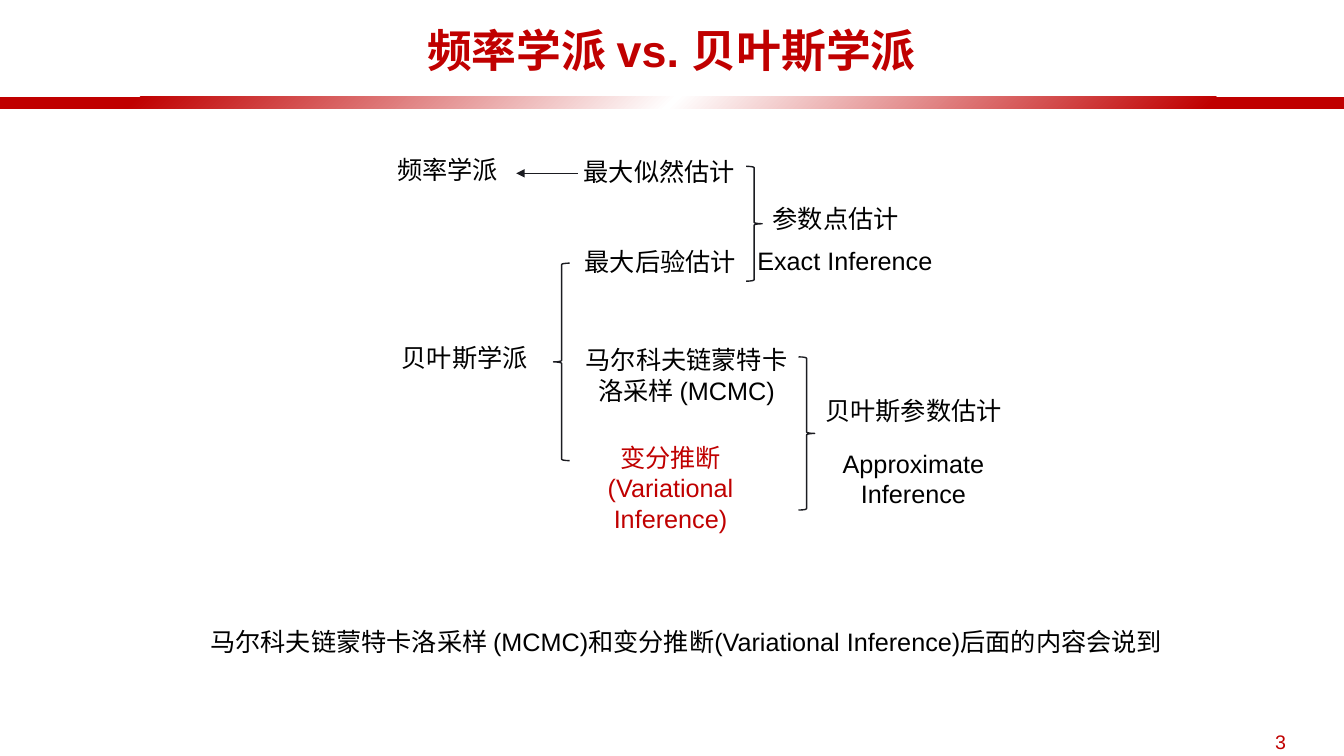
from copy import deepcopy

from lxml import etree
from pptx import Presentation
from pptx import util as u
from pptx.dml.color import RGBColor
from pptx.enum import shapes, text
from pptx.oxml.ns import qn

RED = RGBColor(0xC0, 0x00, 0x00)
WHITE = RGBColor(0xFF, 0xFF, 0xFF)
BLACK = RGBColor(0x00, 0x00, 0x00)
INK = RGBColor(0x1B, 0x1C, 0x21)


class Diagram:
    font = "Arial"
    size = 18
    label_width = 1.96

    def __init__(self, s):
        self.s = s

    def label(self, words, x, y, w=label_width, h=0.4, color=BLACK, size=size,
              bold=False, anchor=text.MSO_ANCHOR.TOP, wrap=True):
        sp = self.s.shapes.add_textbox(*map(u.Inches, (x, y, w, h)))
        tf = sp.text_frame
        tf.word_wrap = wrap
        tf.vertical_anchor = anchor
        tf.text = words
        for p in tf.paragraphs:
            p.alignment = text.PP_ALIGN.CENTER
            p.font.name = self.font
            p.font.size = u.Pt(size)
            p.font.bold = bold
            p.font.color.rgb = color

    def brace(self, x, y, h, rotation=0):
        sp = self.s.shapes.add_shape(shapes.MSO_SHAPE.RIGHT_BRACE,
                                     *map(u.Inches, (x, y, 0.16, h)))
        sp.shadow.inherit = False
        sp.rotation = rotation
        sp.fill.background()
        sp.line.color.rgb = INK
        sp.line.width = u.Pt(1)

    def arrow(self, x1, y1, x2, y2):
        line = self.s.shapes.add_connector(shapes.MSO_CONNECTOR.STRAIGHT,
                                           *map(u.Inches, (x1, y1, x2, y2)))
        line.line.color.rgb = INK
        line.line.width = u.Pt(0.5)
        etree.SubElement(line.line._get_or_add_ln(), qn("a:tailEnd"), type="triangle")
        etree.SubElement(line._element.spPr, qn("a:effectLst"))

    def gradient_bar(self, x, y, w, h, stops):
        """Draw a bar whose gradient has any number of (position, colour) stops."""
        sp = self.s.shapes.add_shape(shapes.MSO_SHAPE.RECTANGLE,
                                     *map(u.Inches, (x, y, w, h)))
        sp.shadow.inherit = False
        sp.line.fill.background()
        sp.fill.gradient()
        sp.fill.gradient_angle = 315
        gs_list = sp._element.spPr.find(".//" + qn("a:gsLst"))
        while len(gs_list) < len(stops):
            gs_list.append(deepcopy(gs_list[0]))
        for stop, (position, color) in zip(sp.fill.gradient_stops, stops):
            stop.position = position
            stop.color.rgb = color


def main():
    prs = Presentation()
    prs.slide_width, prs.slide_height = u.Inches(13.33), u.Inches(7.5)
    d = Diagram(prs.slides.add_slide(prs.slide_layouts[6]))
    middle = text.MSO_ANCHOR.MIDDLE

    d.gradient_bar(0, 0.96, 13.33, 0.12, [(0.1, RED), (0.5, WHITE), (0.9, RED)])
    d.label("频率学派 vs. 贝叶斯学派", 1.77, 0.13, 9.78, 0.72, RED, 32, True, middle)
    d.label("3", 12.48, 7.19, 0.44, 0.34, RED, 14, anchor=middle, wrap=False)

    # Schools
    d.label("频率学派", 3.46, 1.48)
    d.label("贝叶斯学派", 3.63, 3.35)
    d.arrow(5.73, 1.72, 5.12, 1.72)
    d.brace(5.49, 2.61, 1.96, rotation=180)

    # Methods
    d.label("最大似然估计", 5.56, 1.5)
    d.label("最大后验估计", 5.57, 2.39)
    d.label("马尔科夫链蒙特卡洛采样 (MCMC)", 5.63, 3.37, 2.36, 0.71)
    d.label("变分推断\n(Variational Inference)", 5.64, 4.34, 2.02, 1.01, RED)

    # Kinds of inference
    d.brace(7.4, 1.65, 1.14)
    d.label("参数点估计", 7.31, 1.97)
    d.label("Exact Inference", 7.4, 2.38)
    d.brace(7.92, 3.54, 1.52)
    d.label("贝叶斯参数估计", 8.08, 3.87)
    d.label("Approximate Inference", 8.08, 4.4, h=0.71)

    d.label("马尔科夫链蒙特卡洛采样 (MCMC)和变分推断(Variational Inference)后面的内容会说到",
            1.58, 6.16, 10.45)
    prs.save("out.pptx")


if __name__ == "__main__":
    main()
